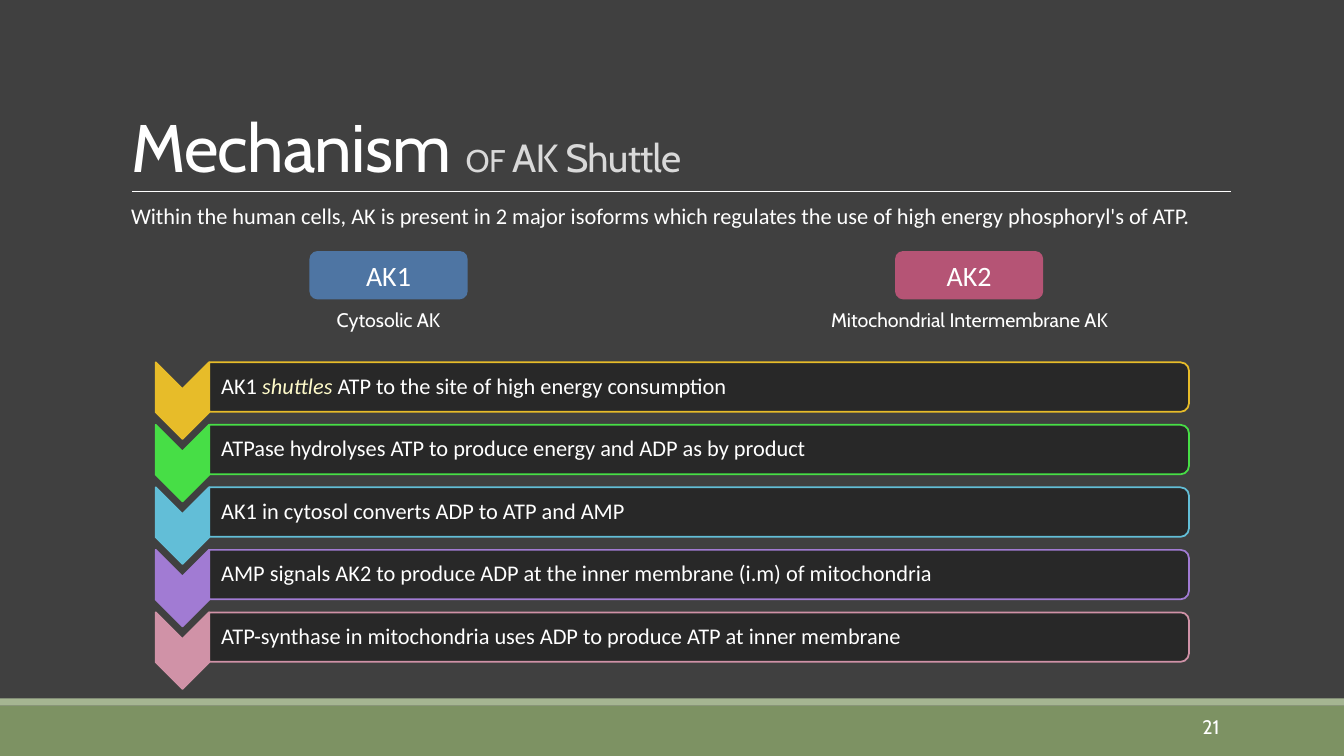
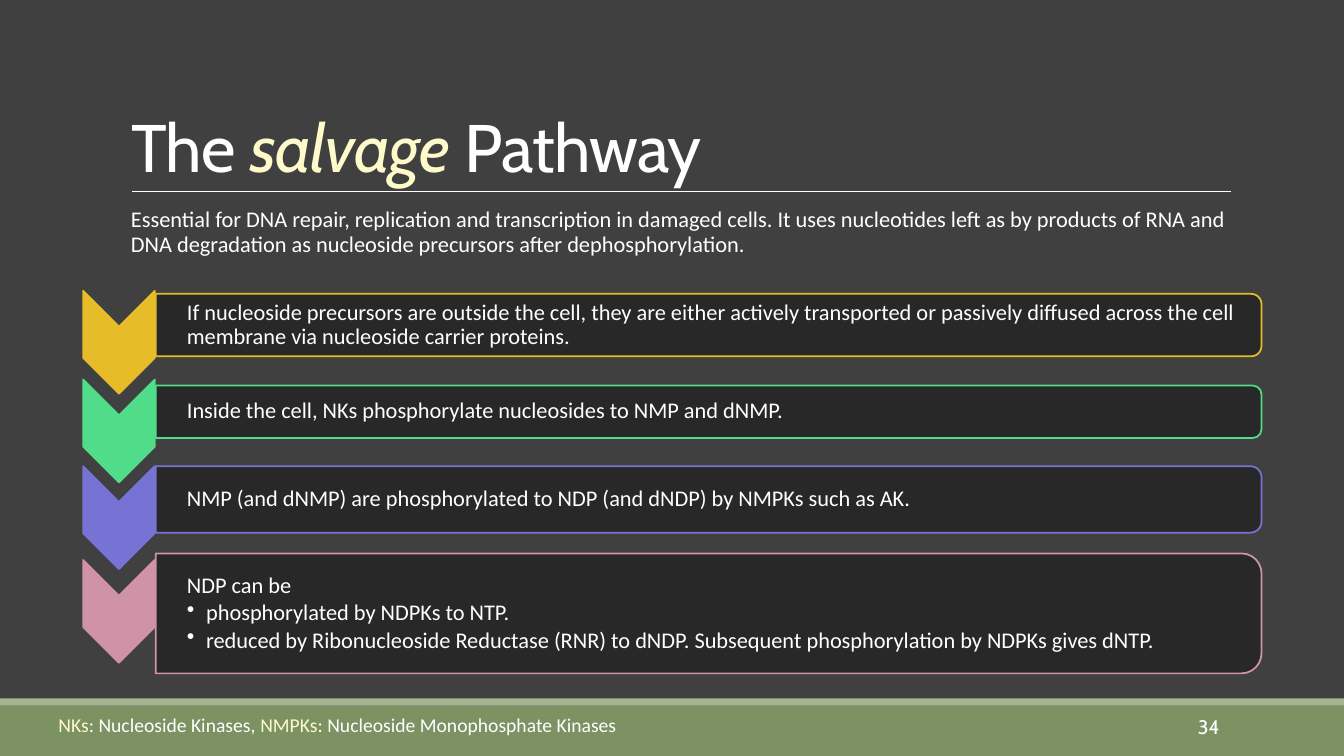
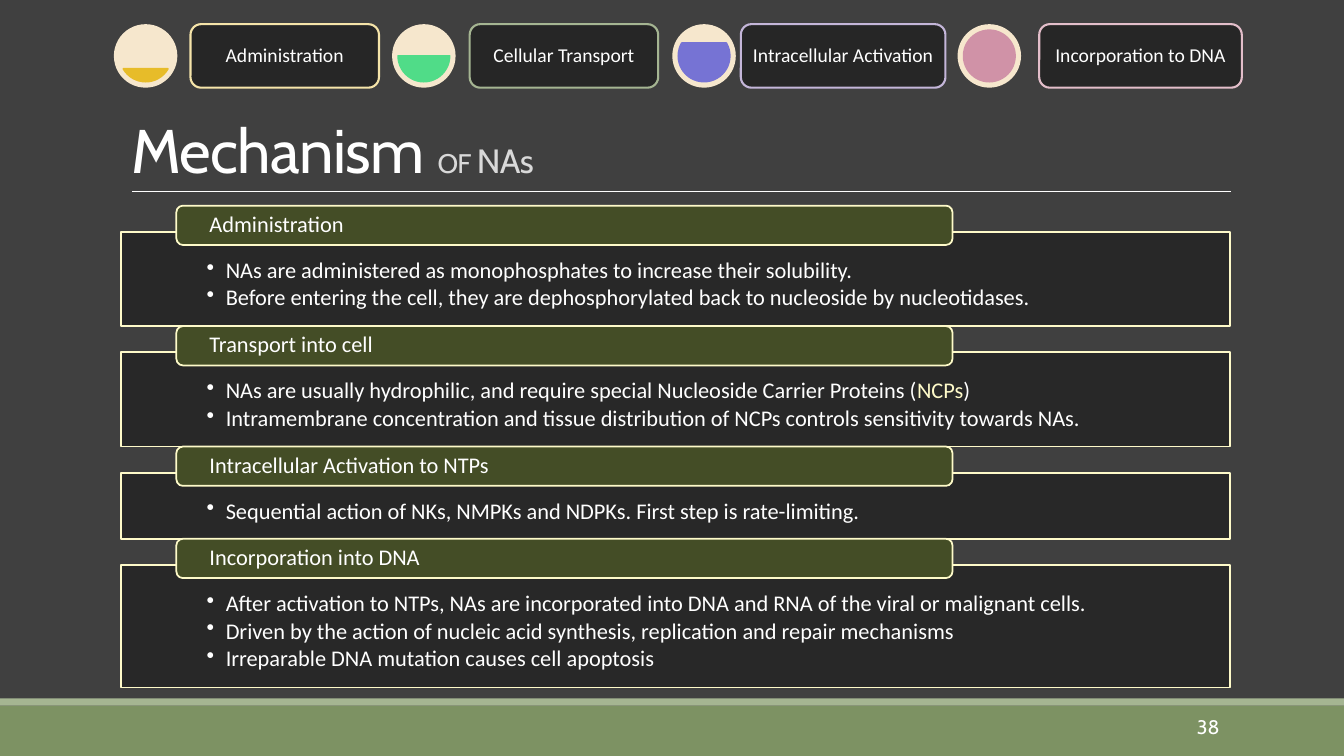
import math

import pptx
import pptx.dml.color
import pptx.enum.shapes
import pptx.enum.text
import pptx.oxml.ns
import pptx.util
from lxml import etree

SHAPE = pptx.enum.shapes.MSO_SHAPE
ALIGN = pptx.enum.text.PP_ALIGN
ANCHOR = pptx.enum.text.MSO_ANCHOR
qn = pptx.oxml.ns.qn

COLUMNS, ROWS = 160, 90  # square grid cells, twelve to the inch

WHITE, GREY, CREAM = "FFFFFF", "D9D9D9", "FEFAC9"
BACKGROUND, PANEL, TAB = "404040", "262626", "444D26"
BAND, BAND_EDGE = "7D9263", "A5B592"
GOLD, LIME, MINT, SKY = "E7BC29", "47DE46", "50DC88", "62BED7"
PURPLE, INDIGO, ROSE = "A17BD3", "7673D4", "D092A7"

HEADING_FONT, TEXT_FONT = "Cabin", "Calibri"
LEFT, WIDTH = 14.4, 132
DEFAULT_INSETS = (1.2, 0.6, 1.2, 0.6)


def colour(code):
    return pptx.dml.color.RGBColor.from_string(code)


def cells(count):
    return pptx.util.Inches(count / 12)


class Slides:
    """The shared style, the deck and the page being drawn."""

    def __init__(self):
        self.deck = pptx.Presentation()
        self.deck.slide_width = cells(COLUMNS)
        self.deck.slide_height = cells(ROWS)
        fill = self.deck.slide_master.background.fill
        fill.solid()
        fill.fore_color.rgb = colour(BACKGROUND)
        self.page = None

    def start(self, number, title_spans, title_size=48):
        """Add a page with its bands, title, rule and number."""
        self.page = self.deck.slides.add_slide(self.deck.slide_layouts[5])
        self.shape(SHAPE.RECTANGLE, (0, 84, COLUMNS, 6), BAND)
        self.shape(SHAPE.RECTANGLE, (0, 83.16, COLUMNS, 0.84), BAND_EDGE)
        self.rule(15.72, 146.52, 22.8)
        title = self.page.shapes.title
        title.left, title.top, title.width, title.height = map(
            cells, (LEFT, 3.72, WIDTH, 19.08))
        self.set_text(title, [title_spans], title_size, HEADING_FONT,
                      anchor=ANCHOR.BOTTOM, spacing=0.85, tracking=-50)
        self.text((129.24, 84.12, 17.16, 4.8), [[str(number)]], 14, HEADING_FONT,
                  align=ALIGN.RIGHT, anchor=ANCHOR.MIDDLE)

    def rule(self, start, end, row):
        line = self.page.shapes.add_connector(
            pptx.enum.shapes.MSO_CONNECTOR.STRAIGHT,
            cells(start), cells(row), cells(end), cells(row))
        line.line.color.rgb = colour(WHITE)
        line.line.width = pptx.util.Pt(0.5)
        etree.SubElement(line._element.spPr, qn("a:effectLst"))

    def shape(self, kind, area, fill, outline=None, weight=1.25, opacity=100):
        shape = self.page.shapes.add_shape(kind, *map(cells, area))
        shape.shadow.inherit = False
        shape.fill.solid()
        shape.fill.fore_color.rgb = colour(fill)
        if opacity < 100:
            paint = shape._element.spPr.find(qn("a:solidFill")).find(qn("a:srgbClr"))
            etree.SubElement(paint, qn("a:alpha"), val=str(opacity * 1000))
        if outline:
            shape.line.color.rgb = colour(outline)
            shape.line.width = pptx.util.Pt(weight)
        else:
            shape.line.fill.background()
        return shape

    def turned_shape(self, kind, area, fill, outline, opacity=100):
        """Draw a shape turned by 90 degrees so that it covers the area."""
        left, top, width, height = area
        shift = (width - height) / 2
        shape = self.shape(kind, (left + shift, top - shift, height, width),
                           fill, outline, opacity=opacity)
        shape.rotation = 90

    def text(self, area, paragraphs, size, font=TEXT_FONT, **style):
        box = self.page.shapes.add_textbox(*map(cells, area))
        self.set_text(box, paragraphs, size, font, **style)

    def set_text(self, box, paragraphs, size, font=TEXT_FONT, align=ALIGN.LEFT,
                 anchor=ANCHOR.TOP, insets=DEFAULT_INSETS, spacing=1.0, after=0,
                 tracking=0, bullets_from=None):
        """Fill a box; a span is a string or a (string, changes) pair."""
        frame = box.text_frame
        frame.word_wrap = True
        frame.auto_size = pptx.enum.text.MSO_AUTO_SIZE.NONE
        frame.vertical_anchor = anchor
        (frame.margin_left, frame.margin_top,
         frame.margin_right, frame.margin_bottom) = map(cells, insets)
        for index, spans in enumerate(paragraphs):
            para = frame.add_paragraph() if index else frame.paragraphs[0]
            if bullets_from is not None and index >= bullets_from:
                self.bullet(para)
            para.alignment = align
            para.line_spacing = spacing
            para.space_after = pptx.util.Pt(after)
            for span in spans:
                words, changes = (span, {}) if isinstance(span, str) else span
                run = para.add_run()
                run.text = words
                run.font.name = font
                run.font.size = pptx.util.Pt(changes.get("size", size))
                run.font.color.rgb = colour(changes.get("colour", WHITE))
                run.font.italic = changes.get("italic", False)
                properties = run._r.get_or_add_rPr()
                if tracking:
                    properties.set("spc", str(tracking))
                if changes.get("small_caps"):
                    properties.set("cap", "small")

    def bullet(self, para):
        properties = para._p.get_or_add_pPr()
        indent = cells(2.28)
        properties.set("marL", str(indent))
        properties.set("indent", str(-indent))
        etree.SubElement(properties, qn("a:buChar"), char="•")

    def intro(self, row, width, words):
        self.text((LEFT, row, width, 6), [[words]], 16,
                  insets=(1.2, 0.6, 0, 0.6), spacing=0.9)

    def isoform(self, name, badge_left, badge_width, label, label_left, label_width, fill):
        badge = self.shape(SHAPE.ROUNDED_RECTANGLE,
                           (badge_left, 29.88, badge_width, 5.76), fill)
        self.set_text(badge, [[name]], 20, align=ALIGN.CENTER, anchor=ANCHOR.MIDDLE)
        self.text((label_left, 36.12, label_width, 4.08), [[label]], 14, HEADING_FONT,
                  align=ALIGN.CENTER)

    def step(self, chevron, panel, accent, paragraphs, text_inset):
        """Draw a downward chevron and the panel that belongs to it."""
        self.turned_shape(SHAPE.CHEVRON, chevron, accent, accent)
        self.turned_shape(SHAPE.ROUND_2_SAME_RECTANGLE, panel, PANEL, accent, 90)
        self.text(panel, paragraphs, 16, anchor=ANCHOR.MIDDLE,
                  insets=(text_inset, 0.12, 0.12, 0.12), spacing=0.9, after=2.4,
                  bullets_from=1)

    def gauge(self, left, share, accent):
        """Draw a disc filled from below up to the given share."""
        top, size, rim = 2.88, 7.56, 0.72
        inner = size - 2 * rim
        self.shape(SHAPE.OVAL, (left, top, size, size), "F6E7CD")
        level = self.shape(SHAPE.CHORD, (left + rim, top + rim, inner, inner),
                           accent, accent)
        start = math.degrees(math.asin(1 - 2 * share))
        for index, angle in enumerate((start, 180 - start)):
            level.adjustments[index] = round(angle % 360) * 0.6

    def stage(self, left, width, name, outline):
        box = self.shape(SHAPE.ROUNDED_RECTANGLE, (left, 2.88, width, 7.56),
                         PANEL, outline, 1.5)
        self.set_text(box, [[name]], 14, align=ALIGN.CENTER, anchor=ANCHOR.MIDDLE,
                      insets=(0.84,) * 4, spacing=0.9)

    def section(self, top, name, paragraphs):
        """Draw a tabbed list and return the row where it ends."""
        body_top = top + 3.12
        height = 4.5 + 3.36 * len(paragraphs)
        body = self.shape(SHAPE.RECTANGLE, (LEFT, body_top, WIDTH, height),
                          PANEL, CREAM, opacity=90)
        self.set_text(body, paragraphs, 16, insets=(10.2, 3.24, 10.2, 1.44),
                      spacing=0.9, after=2.4, bullets_from=0)
        tab = self.shape(SHAPE.ROUNDED_RECTANGLE, (21, top, 92.4, 4.68), TAB, CREAM)
        self.set_text(tab, [[name]], 16, anchor=ANCHOR.MIDDLE,
                      insets=(3.72, 0, 3.72, 0), spacing=0.9)
        return body_top + height


def mechanism_title(subject, size):
    grey = {"size": size, "colour": GREY}
    return ["Mechanism ", ("of", {**grey, "small_caps": True}), (" " + subject, grey)]


def draw_shuttle(slides):
    slides.start(21, mechanism_title("AK Shuttle", 28))
    slides.intro(23.88, 135.36, "Within the human cells, AK is present in 2 major isoforms "
                 "which regulates the use of high energy phosphoryl's of ATP.")
    slides.isoform("AK1", 36.84, 18.84, "Cytosolic AK", 36.96, 18.6, "4E75A3")
    slides.isoform("AK2", 106.56, 17.64, "Mitochondrial Intermembrane AK",
                   96.84, 37.2, "B55475")
    steps = [
        (GOLD, ["AK1 ", ("shuttles", {"colour": CREAM, "italic": True}),
                " ATP to the site of high energy consumption"]),
        (LIME, ["ATPase hydrolyses ATP to produce energy and ADP as by product"]),
        (SKY, ["AK1 in cytosol converts ADP to ATP and AMP"]),
        (PURPLE, ["AMP signals AK2 to produce ADP at the inner membrane (i.m) "
                  "of mitochondria"]),
        (ROSE, ["ATP-synthase in mitochondria uses ADP to produce ATP at inner membrane"]),
    ]
    for index, (accent, spans) in enumerate(steps):
        top = 43.14 + 7.44 * index
        slides.step((18.54, top, 6.36, 9.12), (24.9, top, 116.64, 5.88),
                    accent, [spans], 1.44)


def draw_salvage(slides):
    slides.start(34, ["The ", ("salvage", {"colour": CREAM, "italic": True}), " Pathway"])
    slides.intro(24.24, WIDTH, "Essential for DNA repair, replication and transcription in "
                 "damaged cells. It uses nucleotides left as by products of RNA and DNA "
                 "degradation as nucleoside precursors after dephosphorylation.")
    steps = [
        (GOLD, 34.62, 34.98, 7.44, [
            ["If nucleoside precursors are outside the cell, they are either actively "
             "transported or passively diffused across the cell membrane via nucleoside "
             "carrier proteins."]]),
        (MINT, 45.18, 45.9, 6.24, [
            ["Inside the cell, NKs phosphorylate nucleosides to NMP and dNMP."]]),
        (INDIGO, 55.5, 55.5, 7.92, [
            ["NMP (and dNMP) are phosphorylated to NDP (and dNDP) by NMPKs such as AK."]]),
        (ROSE, 66.66, 65.88, 14.28, [
            ["NDP can be"],
            ["phosphorylated by NDPKs to NTP."],
            ["reduced by Ribonucleoside Reductase (RNR) to dNDP. Subsequent "
             "phosphorylation by NDPKs gives dNTP."]]),
    ]
    for accent, chevron_top, panel_top, panel_height, paragraphs in steps:
        slides.step((9.9, chevron_top, 8.52, 12.24),
                    (18.54, panel_top, 131.64, panel_height), accent, paragraphs, 3.72)
    key = {"colour": CREAM}
    slides.text((5.76, 83.88, 106, 4.8),
                [[("NKs", key), ": Nucleoside Kinases, ", ("NMPKs", key),
                  ": Nucleoside Monophosphate Kinases"]], 14, anchor=ANCHOR.MIDDLE)


def draw_analogues(slides):
    slides.start(38, mechanism_title("NAs", 24), 44)
    stages = [
        (13.56, GOLD, 22.68, 22.44, "Administration", "F5E4A9"),
        (46.68, MINT, 55.92, 22.44, "Cellular Transport", BAND_EDGE),
        (80.04, INDIGO, 88.2, 24.36, "Intracellular Activation", "C4B6D9"),
        (114, ROSE, 123.72, 24.12, "Incorporation to DNA", "E3BECA"),
    ]
    for index, (disc_left, accent, left, width, name, outline) in enumerate(stages):
        slides.gauge(disc_left, (index + 1) / len(stages), accent)
        slides.stage(left, width, name, outline)
    sections = [
        ("Administration", [
            ["NAs are administered as monophosphates to increase their solubility."],
            ["Before entering the cell, they are dephosphorylated back to nucleoside "
             "by nucleotidases."]]),
        ("Transport into cell", [
            ["NAs are usually hydrophilic, and require special Nucleoside Carrier Proteins (",
             ("NCPs", {"colour": CREAM}), ")"],
            ["Intramembrane concentration and tissue distribution of NCPs controls "
             "sensitivity towards NAs."]]),
        ("Intracellular Activation to NTPs", [
            ["Sequential action of NKs, NMPKs and NDPKs. First step is rate-limiting."]]),
        ("Incorporation into DNA", [
            ["After activation to NTPs, NAs are incorporated into DNA and RNA of the "
             "viral or malignant cells."],
            ["Driven by the action of nucleic acid synthesis, replication and repair "
             "mechanisms"],
            ["Irreparable DNA mutation causes cell apoptosis"]]),
    ]
    top = 24.48
    for name, paragraphs in sections:
        top = slides.section(top, name, paragraphs)


def main():
    slides = Slides()
    draw_shuttle(slides)
    draw_salvage(slides)
    draw_analogues(slides)
    slides.deck.save("out.pptx")


if __name__ == "__main__":
    main()
